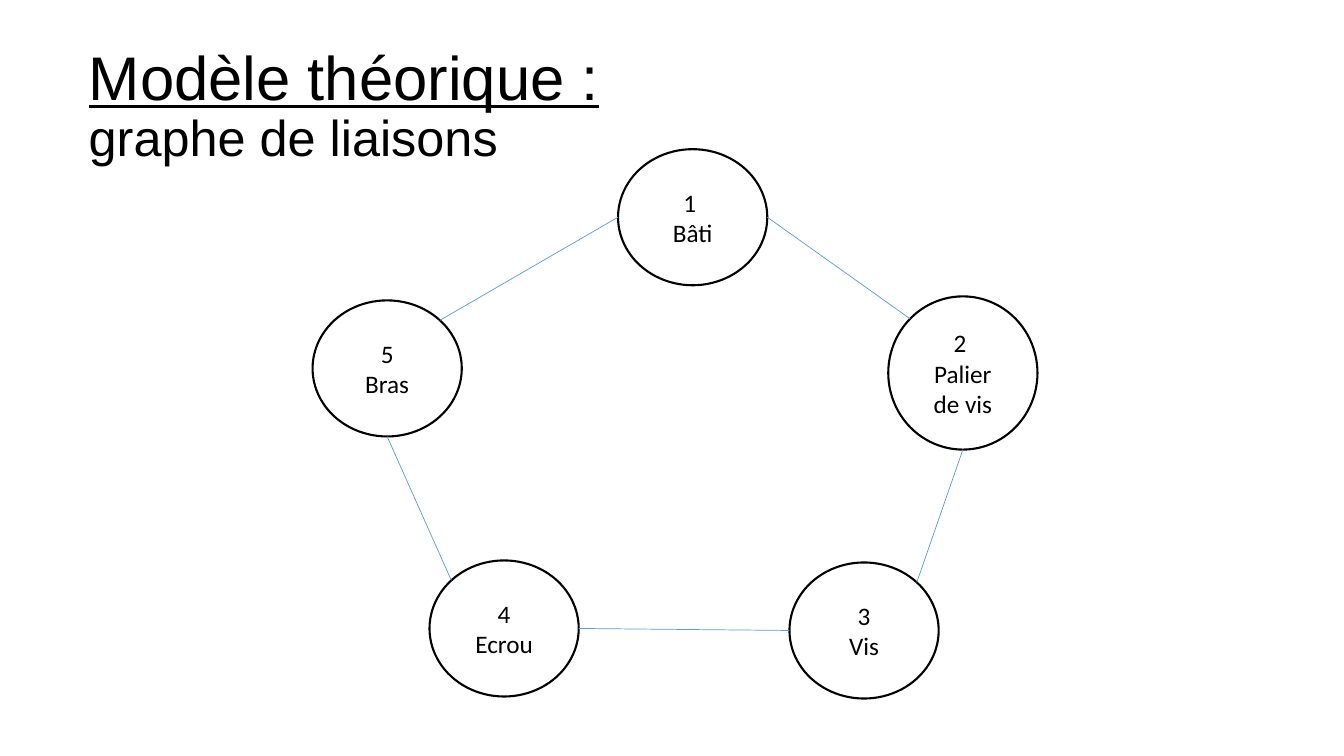
import math

from lxml import etree
from pptx import Presentation
from pptx.dml.color import RGBColor
from pptx.enum import shapes, text
from pptx.oxml.ns import qn
from pptx.util import Inches, Pt

# Each part: label lines and box (left, top, width, height) in inches
PARTS = {
    1: ("1 \nBâti", (6.13, 1.48, 1.48, 1.35)),
    5: ("5\nBras", (3.1, 2.98, 1.48, 1.35)),
    4: ("4\nEcrou", (4.26, 5.56, 1.48, 1.35)),
    3: ("3\nVis", (7.83, 5.58, 1.48, 1.35)),
    2: ("2 \nPalier de vis", (8.81, 2.94, 1.48, 1.52)),
}

# Directions on an ellipse, in degrees clockwise from the right
RIGHT, BOTTOM, LEFT, TOP_LEFT, TOP_RIGHT = 0, 90, 180, 225, 315

# Each joint: part and direction at both ends
JOINTS = [
    (1, LEFT, 5, TOP_RIGHT),
    (5, BOTTOM, 4, TOP_LEFT),
    (4, RIGHT, 3, LEFT),
    (3, TOP_RIGHT, 2, BOTTOM),
    (1, RIGHT, 2, TOP_LEFT),
]


def color(hex_value):
    return RGBColor.from_string(hex_value)


def style_font(font, name, size):
    font.name = name
    font.size = Pt(size)
    font.color.rgb = color("000000")


def add_title(slide, box):
    title = slide.shapes.title
    title.left, title.top, title.width, title.height = map(Inches, box)
    frame = title.text_frame
    frame.text = "Modèle théorique :\vgraphe de liaisons"
    frame.word_wrap = True
    frame.auto_size = text.MSO_AUTO_SIZE.NONE
    frame.vertical_anchor = text.MSO_ANCHOR.MIDDLE
    paragraph = frame.paragraphs[0]
    paragraph.alignment = text.PP_ALIGN.LEFT
    paragraph.line_spacing = 0.9
    heading, subject = paragraph.runs
    style_font(heading.font, "Arial", 44)
    heading.font.underline = True
    style_font(subject.font, "Arial", 36)


def add_part(slide, label, box):
    part = slide.shapes.add_shape(shapes.MSO_SHAPE.OVAL, *map(Inches, box))
    part.shadow.inherit = False
    part.fill.background()
    part.line.color.rgb = color("000000")
    part.line.width = Pt(1.5)
    frame = part.text_frame
    frame.text = label
    frame.word_wrap = True
    frame.vertical_anchor = text.MSO_ANCHOR.MIDDLE
    for paragraph in frame.paragraphs:
        paragraph.alignment = text.PP_ALIGN.CENTER
        for run in paragraph.runs:
            style_font(run.font, "Calibri", 18)


def edge_point(box, degrees):
    left, top, width, height = box
    angle = math.radians(degrees)
    return (Inches(left + width / 2 * (1 + math.cos(angle))),
            Inches(top + height / 2 * (1 + math.sin(angle))))


def add_joint(slide, start, end):
    joint = slide.shapes.add_connector(shapes.MSO_CONNECTOR.STRAIGHT, *start, *end)
    joint.line.color.rgb = color("5B9BD5")
    joint.line.width = Pt(0.5)
    etree.SubElement(joint._element.spPr, qn("a:effectLst"))


def add_graph(slide):
    for label, box in PARTS.values():
        add_part(slide, label, box)
    for first, first_side, second, second_side in JOINTS:
        add_joint(slide, edge_point(PARTS[first][1], first_side),
                  edge_point(PARTS[second][1], second_side))


def main():
    deck = Presentation()
    deck.slide_width, deck.slide_height = Inches(13.33), Inches(7.5)
    slide = deck.slides.add_slide(deck.slide_layouts[5])
    add_title(slide, (0.78, 0.34, 11.5, 1.45))
    add_graph(slide)
    deck.save("out.pptx")


if __name__ == "__main__":
    main()
